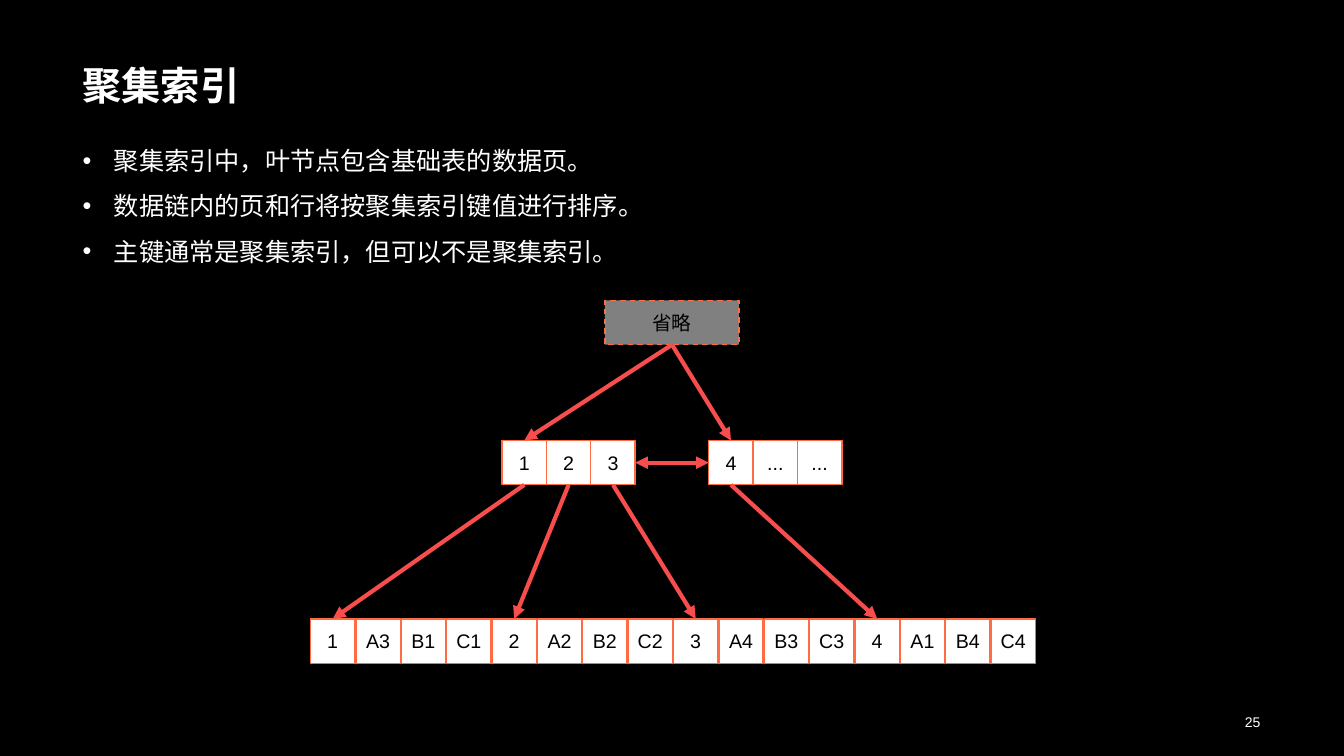
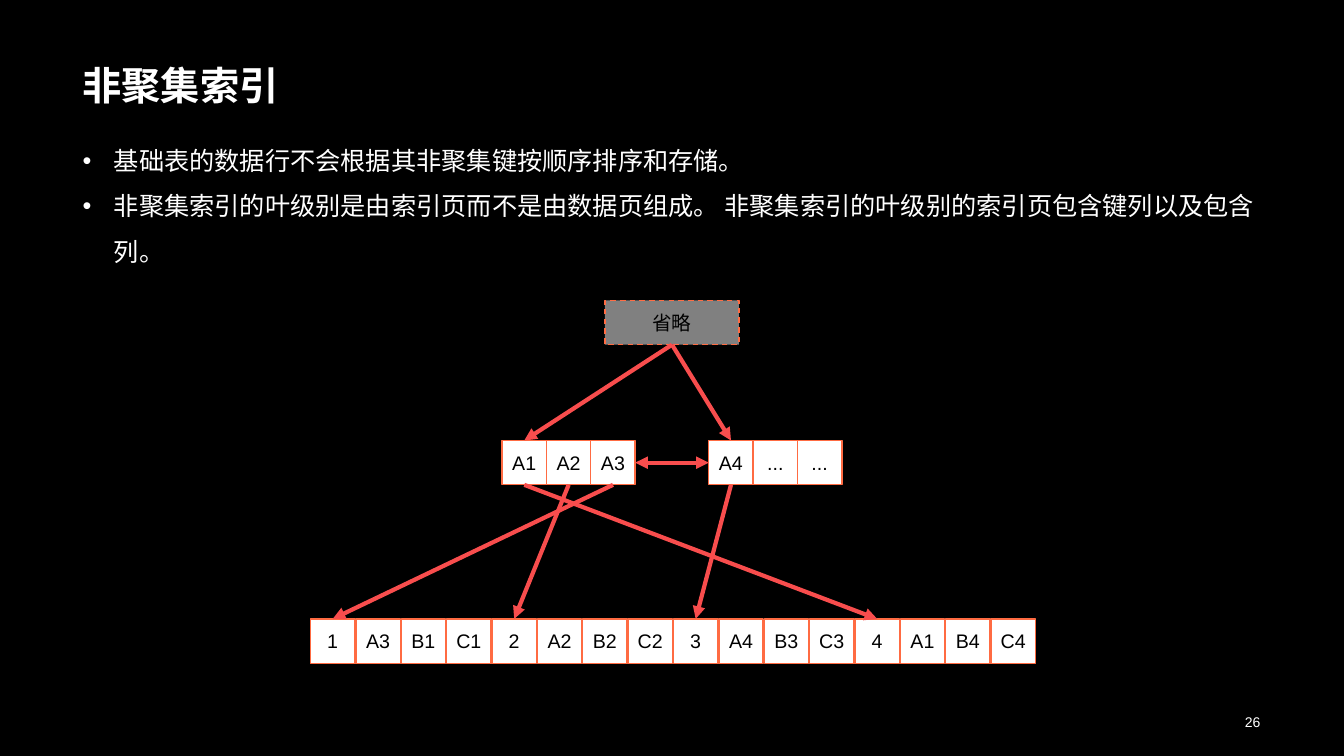
from pptx import Presentation
from pptx.dml.color import RGBColor
from pptx.enum.dml import MSO_LINE_DASH_STYLE as Dash
from pptx.enum.shapes import MSO_CONNECTOR as Link, MSO_SHAPE as Shape
from pptx.enum.text import MSO_ANCHOR as Anchor, MSO_AUTO_SIZE as Fit, PP_ALIGN as Align
from pptx.oxml.ns import qn
from pptx.util import Inches, Pt
from lxml.etree import SubElement

BLACK, WHITE, EDGE, ARROW = "000000", "FFFFFF", "FF6B42", "F84D4D"
FONT = "Arial"
CELL = 0.44
TOP, LEFT, BOTTOM, RIGHT = range(4)  # connection sites of a rectangle

TITLE_BOX = (0.72, 0.6, 11.88, 0.53)
BODY_BOX = (0.72, 1.24, 11.88, 1.41)
PAGE_BOX = (9.69, 7.03, 2.91, 0.27)
TREE_BOX = (3.08, 2.98)

ROWS = ["1", "A3", "B1", "C1", "2", "A2", "B2", "C2",
        "3", "A4", "B3", "C3", "4", "A1", "B4", "C4"]

SLIDES = [
    dict(page=25, title="聚集索引",
         points=["聚集索引中，叶节点包含基础表的数据页。",
                 "数据链内的页和行将按聚集索引键值进行排序。",
                 "主键通常是聚集索引，但可以不是聚集索引。"],
         keys=["1", "2", "3", "4"], targets=["1", "2", "3", "4"]),
    dict(page=26, title="非聚集索引",
         points=["基础表的数据行不会根据其非聚集键按顺序排序和存储。",
                 "非聚集索引的叶级别是由索引页而不是由数据页组成。 "
                 "非聚集索引的叶级别的索引页包含键列以及包含列。"],
         keys=["A1", "A2", "A3", "A4"], targets=["4", "2", "1", "3"]),
]


def rgb(code):
    return RGBColor.from_string(code)


def style(para, size, color, align=Align.LEFT, bold=False, spacing=1.0):
    para.alignment, para.line_spacing = align, spacing
    para.space_before = Pt(0)
    font = para.font
    font.name, font.size, font.bold = FONT, Pt(size), bold
    font.color.rgb = rgb(color)


def place(shape, box):
    shape.left, shape.top, shape.width, shape.height = map(Inches, box)


def frame(shape, anchor):
    text = shape.text_frame
    text.word_wrap, text.auto_size = True, Fit.NONE
    text.vertical_anchor = anchor
    return text


def add_title(slide, box, words):
    title = slide.shapes.title
    place(title, box)
    text = frame(title, Anchor.BOTTOM)
    text.text = words
    style(text.paragraphs[0], 28, WHITE, bold=True, spacing=0.9)


def add_points(slide, box, points):
    body = slide.placeholders[1]
    place(body, box)
    text = frame(body, Anchor.TOP)
    text.text = "\n".join(points)
    for para in text.paragraphs:
        props = para._p.get_or_add_pPr()
        props.set("marL", str(Inches(0.31)))
        props.set("indent", str(Inches(-0.31)))
        style(para, 18, WHITE, spacing=1.5)


def add_page(slide, box, number):
    text = frame(slide.shapes.add_textbox(*map(Inches, box)), Anchor.MIDDLE)
    text.text = str(number)
    style(text.paragraphs[0], 10, WHITE, Align.RIGHT)


def add_cell(slide, x, y, label, width=CELL):
    cell = slide.shapes.add_shape(
        Shape.RECTANGLE, *map(Inches, (x, y, width, CELL)))
    cell.shadow.inherit = False
    cell.fill.solid()
    cell.fill.fore_color.rgb = rgb(WHITE)
    cell.line.color.rgb = rgb(EDGE)
    cell.line.width = Pt(1)
    text = frame(cell, Anchor.MIDDLE)
    text.margin_left = text.margin_right = 0
    text.margin_top = text.margin_bottom = 0
    text.text = label
    style(text.paragraphs[0], 14, BLACK, Align.CENTER)
    return cell


def add_row(slide, x, y, labels, pitch=CELL):
    return [add_cell(slide, x + i * pitch, y, label)
            for i, label in enumerate(labels)]


def add_root(slide, x, y):
    root = add_cell(slide, x, y, "省略", 1.33)
    root.line.dash_style = Dash.DASH
    tint = root.element.spPr.find(qn("a:solidFill")).find(qn("a:srgbClr"))
    SubElement(tint, qn("a:alpha")).set("val", "50000")
    return root


def add_arrow(slide, start, end, sites=(BOTTOM, TOP), ends=("tailEnd",)):
    arrow = slide.shapes.add_connector(Link.STRAIGHT, 0, 0, 0, 0)
    arrow.begin_connect(start, sites[0])
    arrow.end_connect(end, sites[1])
    arrow.line.color.rgb = rgb(ARROW)
    arrow.line.width = Pt(3)
    props = arrow._element.spPr
    for tip in ends:
        SubElement(props.find(qn("a:ln")), qn("a:" + tip)).set("type", "triangle")
    SubElement(props, qn("a:effectLst"))


def add_tree(slide, box, keys, targets):
    x, y = box
    leaves = add_row(slide, x, y + 3.16, ROWS, 0.45)
    first = add_row(slide, x + 1.9, y + 1.39, keys[:3])
    second = add_row(slide, x + 3.95, y + 1.39, [keys[3], "...", "..."])
    add_arrow(slide, first[-1], second[0], (RIGHT, LEFT), ("headEnd", "tailEnd"))
    root = add_root(slide, x + 2.92, y)
    for node in (first, second):
        add_arrow(slide, root, node[0])
    for key, target in zip(first + second[:1], targets):
        add_arrow(slide, key, leaves[ROWS.index(target)])


def add_index(deck, page, title, points, keys, targets):
    slide = deck.slides.add_slide(deck.slide_layouts[1])
    add_title(slide, TITLE_BOX, title)
    add_page(slide, PAGE_BOX, page)
    add_points(slide, BODY_BOX, points)
    add_tree(slide, TREE_BOX, keys, targets)


def main():
    deck = Presentation()
    deck.slide_width, deck.slide_height = Inches(13.33), Inches(7.5)
    back = deck.slide_master.background.fill
    back.solid()
    back.fore_color.rgb = rgb(BLACK)
    for data in SLIDES:
        add_index(deck, **data)
    deck.save("out.pptx")


if __name__ == "__main__":
    main()
